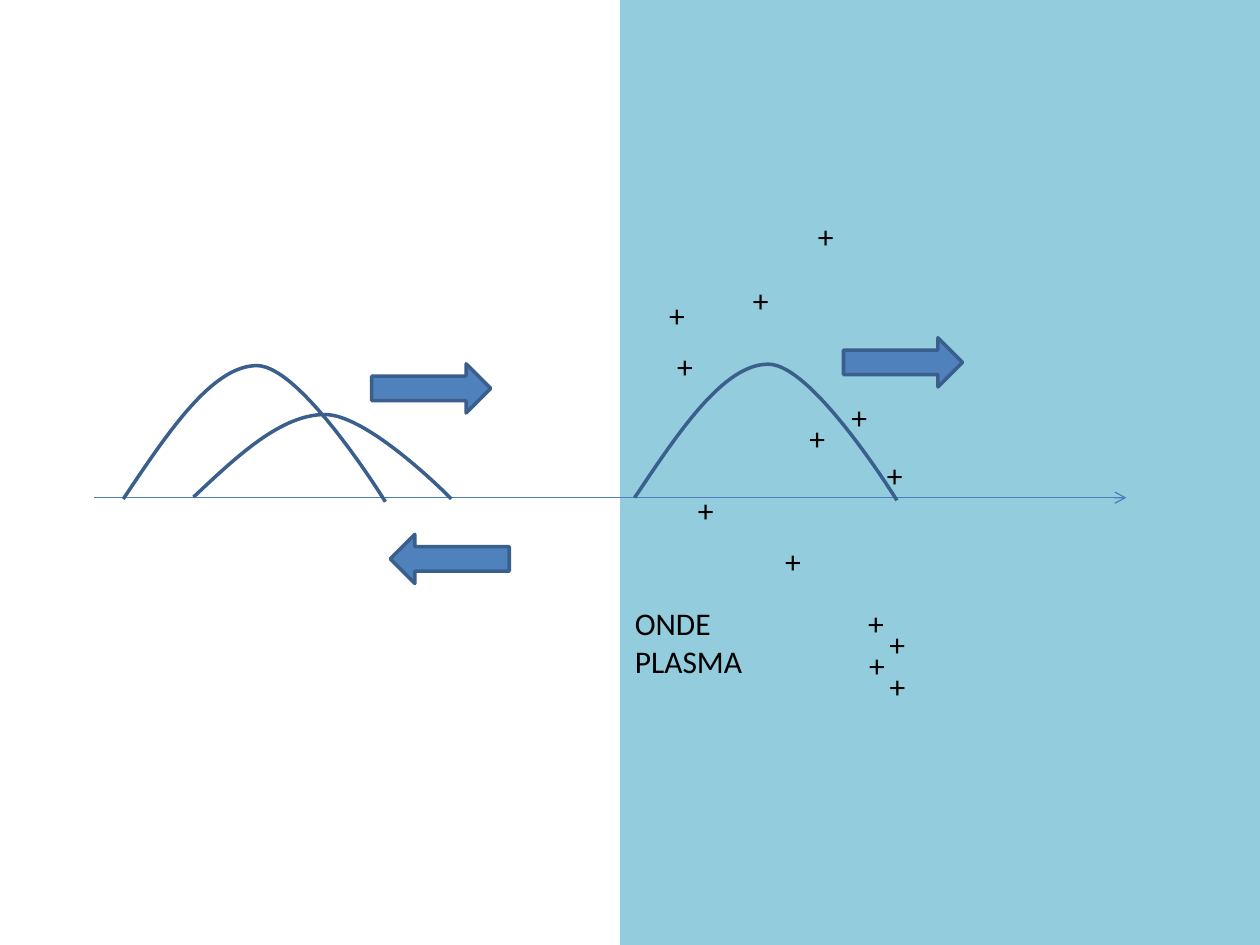
from lxml.etree import SubElement
from pptx import Presentation
from pptx.dml.color import RGBColor
from pptx.enum.shapes import MSO_CONNECTOR, MSO_SHAPE
from pptx.enum.text import MSO_AUTO_SIZE
from pptx.oxml.ns import qn
from pptx.util import Pt

OUTLINE = "3A5F8C"

# Wave shape as fractions of its width and height
WAVE_START, WAVE_CREST, WAVE_END = (0, 0.98), (0.51, 0), (1, 1)
WAVE_CONTROLS = [[(0.17, 0.49), (0.34, 0)], [(0.68, 0), (1, 1)]]

WAVES = [
    (70.4, 208.9, 149.8, 77.8),
    (362.7, 208.1, 149.8, 77.8),
    (110.6, 236.9, 147.3, 48.2),
]
ARROWS = [(212.4, 207.9, 0), (223, 305.3, 180), (482, 193, 0)]
CHARGES = [
    (375.3, 165.6), (379.8, 194.8), (479.5, 223.9), (423.2, 157), (460.3, 120.2),
    (489, 341.6), (391.7, 277.2), (455.5, 235.9), (499.7, 257), (441.6, 306),
    (501.1, 353.5), (489.6, 365.8), (501.3, 377.8),
]


def color(hex_text):
    return RGBColor.from_string(hex_text)


def set_line(line, hex_text, width):
    line.color.rgb = color(hex_text)
    line.width = Pt(width)


def add_block(slide, kind, left, top, width, height, fill):
    block = slide.shapes.add_shape(kind, Pt(left), Pt(top), Pt(width), Pt(height))
    block.shadow.inherit = False
    block.fill.solid()
    block.fill.fore_color.rgb = color(fill)
    block.line.fill.background()
    return block


def add_direction_arrow(slide, left, top, rotation):
    arrow = add_block(slide, MSO_SHAPE.RIGHT_ARROW, left, top, 68, 28.1, "4F81BD")
    arrow.rotation = rotation
    set_line(arrow.line, OUTLINE, 2)


def add_axis(slide, left, right, y):
    axis = slide.shapes.add_connector(
        MSO_CONNECTOR.STRAIGHT, Pt(left), Pt(y), Pt(right), Pt(y))
    set_line(axis.line, "4B7EBC", 0.75)
    properties = axis._element.spPr
    SubElement(properties.find(qn("a:ln")), qn("a:tailEnd"), type="arrow")
    SubElement(properties, qn("a:effectLst"))


def add_wave(slide, left, top, width, height):
    """Draw start, crest and end, then bend both segments into Bezier curves."""
    start, crest, end = [(Pt(left + x * width), Pt(top + y * height))
                         for x, y in (WAVE_START, WAVE_CREST, WAVE_END)]
    builder = slide.shapes.build_freeform(*start)
    builder.add_line_segments([crest, end], close=False)
    wave = builder.convert_to_shape()
    wave.shadow.inherit = False
    wave.fill.background()
    set_line(wave.line, OUTLINE, 2)

    segments = list(wave._element.iter(qn("a:lnTo")))
    for segment, controls in zip(segments, WAVE_CONTROLS):
        segment.tag = qn("a:cubicBezTo")
        for index, (x, y) in enumerate(controls):
            control = SubElement(segment, qn("a:pt"),
                                 x=str(int(Pt(x * width))), y=str(int(Pt(y * height))))
            segment.insert(index, control)


def add_label(slide, text, left, top, width, height):
    box = slide.shapes.add_textbox(Pt(left), Pt(top), Pt(width), Pt(height))
    frame = box.text_frame
    frame.word_wrap = False
    frame.auto_size = MSO_AUTO_SIZE.SHAPE_TO_FIT_TEXT
    frame.text = text
    for para in frame.paragraphs:
        for span in para.runs:
            span.font.name = "Calibri"
            span.font.size = Pt(18)
            span.font.color.rgb = color("000000")


def main():
    deck = Presentation()
    deck.slide_width, deck.slide_height = Pt(720), Pt(540)
    slide = deck.slides.add_slide(deck.slide_layouts[6])

    add_block(slide, MSO_SHAPE.RECTANGLE, 354.3, 0, 365.7, 540, "93CDDD")
    add_axis(slide, 53.8, 643.7, 284.4)
    for left, top in CHARGES:
        add_label(slide, "+", left, top, 23.8, 29)
    for wave in WAVES:
        add_wave(slide, *wave)
    for arrow in ARROWS:
        add_direction_arrow(slide, *arrow)
    add_label(slide, "ONDE\nPLASMA", 355.7, 341.6, 76.3, 51)

    deck.save("out.pptx")


if __name__ == "__main__":
    main()
